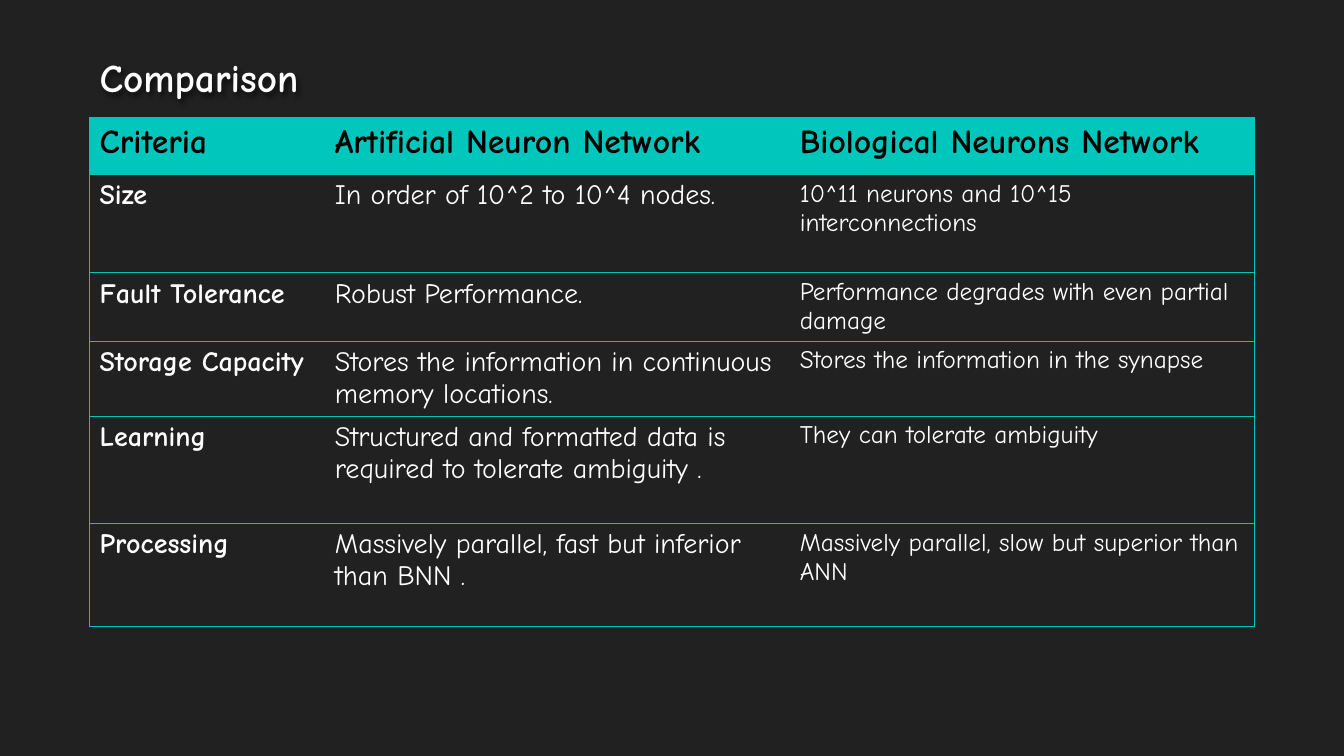
import dataclasses

import lxml.etree
import pptx
import pptx.dml.color
import pptx.enum.text
import pptx.oxml
import pptx.util

NS = 'xmlns:a="http://schemas.openxmlformats.org/drawingml/2006/main"'
PLAIN = "{2D5ABB26-0587-4C30-8999-92F81FD0307C}"


@dataclasses.dataclass(frozen=True)
class Theme:
    font: str = "Comic Neue"
    back: str = "212121"
    teal: str = "00C6BB"
    dark: str = "000000"
    light: str = "FFFFFF"
    title: str = "FEFEFE"
    top: int = 28
    head: int = 24
    main: int = 20
    small: int = 18
    line: float = 0.75


def color(code):
    return pptx.dml.color.RGBColor.from_string(code)


def write(frame, text, *, font, size, tint, bold=False):
    part = frame.paragraphs[0]
    part.alignment = pptx.enum.text.PP_ALIGN.LEFT
    run = part.add_run()
    run.text = text
    run.font.name = font
    run.font.size = pptx.util.Pt(size)
    run.font.bold = bold
    run.font.color.rgb = color(tint)


class Deck:
    def __init__(self, theme):
        self.theme = theme
        self.file = pptx.Presentation()
        self.file.slide_width = pptx.util.Inches(13.33)
        self.file.slide_height = pptx.util.Inches(7.5)
        self.slide = self.file.slides.add_slide(self.file.slide_layouts[5])
        fill = self.slide.background.fill
        fill.solid()
        fill.fore_color.rgb = color(theme.back)

    def wide(self, share):
        return round(self.file.slide_width * share)

    def high(self, share):
        return round(self.file.slide_height * share)

    def title(self, text, left, top, width, height):
        box = self.slide.shapes.title
        box.left, box.top = self.wide(left), self.high(top)
        box.width, box.height = self.wide(width), self.high(height)
        frame = box.text_frame
        frame.word_wrap = True
        frame.auto_size = pptx.enum.text.MSO_AUTO_SIZE.NONE
        frame.vertical_anchor = pptx.enum.text.MSO_ANCHOR.BOTTOM
        write(frame, text, font=self.theme.font, size=self.theme.top,
              tint=self.theme.title, bold=True)
        box.element.spPr.append(pptx.oxml.parse_xml(
            f'<a:effectLst {NS}><a:outerShdw blurRad="50800" dist="38100" '
            'dir="2700000"><a:srgbClr val="000000"><a:alpha val="60000"/>'
            '</a:srgbClr></a:outerShdw></a:effectLst>'))

    def border(self, cell, sides):
        props = cell._tc.get_or_add_tcPr()
        width = pptx.util.Pt(self.theme.line)
        for side in sides:
            props.append(pptx.oxml.parse_xml(
                f'<a:ln{side} {NS} w="{width}"><a:solidFill>'
                f'<a:srgbClr val="{self.theme.teal}"/></a:solidFill></a:ln{side}>'))

    def cell(self, cell, text, row, col, last):
        theme = self.theme
        sides = ("L" if col == 0 else "") + ("R" if col == last else "") + "TB"
        self.border(cell, sides)
        if row == 0:
            cell.fill.solid()
            cell.fill.fore_color.rgb = color(theme.teal)
            size, tint = theme.head, theme.dark
        else:
            cell.fill.background()
            size = theme.small if col == last else theme.main
            tint = theme.light
        write(cell.text_frame, text, font=theme.font, size=size, tint=tint,
              bold=row == 0 or col == 0)

    def table(self, data, left, top, cols, rows):
        grid = self.slide.shapes.add_table(
            len(rows), len(cols), self.wide(left), self.high(top),
            self.wide(sum(cols)), self.high(sum(rows))).table
        style = grid._tbl.tblPr.find(pptx.oxml.ns.qn("a:tableStyleId"))
        style.text = PLAIN
        for col, share in zip(grid.columns, cols):
            col.width = self.wide(share)
        for row, share in zip(grid.rows, rows):
            row.height = self.high(share)
        for row, line in enumerate(data):
            for col, text in enumerate(line):
                self.cell(grid.cell(row, col), text, row, col, len(cols) - 1)


DATA = [
    ("Criteria", "Artificial Neuron Network", "Biological Neurons Network"),
    ("Size", "In order of 10^2 to 10^4 nodes.",
     "10^11 neurons and 10^15 interconnections"),
    ("Fault Tolerance", "Robust Performance.",
     "Performance degrades with even partial damage"),
    ("Storage Capacity",
     "Stores the information in continuous memory locations.",
     "Stores the information in the synapse"),
    ("Learning",
     "Structured and formatted data is required to tolerate ambiguity .",
     "They can tolerate ambiguity"),
    ("Processing", "Massively parallel, fast but inferior than BNN .",
     "Massively parallel, slow but superior than ANN"),
]


def main():
    deck = Deck(Theme())
    left = 1 / 15
    deck.table(DATA, left, 0.156, cols=(0.175, 0.346, 0.346),
               rows=(0.075, 0.13, 0.09, 0.099, 0.142, 0.137))
    deck.title("Comparison", left, 0.072, 0.418, 0.068)
    deck.file.save("out.pptx")


if __name__ == "__main__":
    main()
